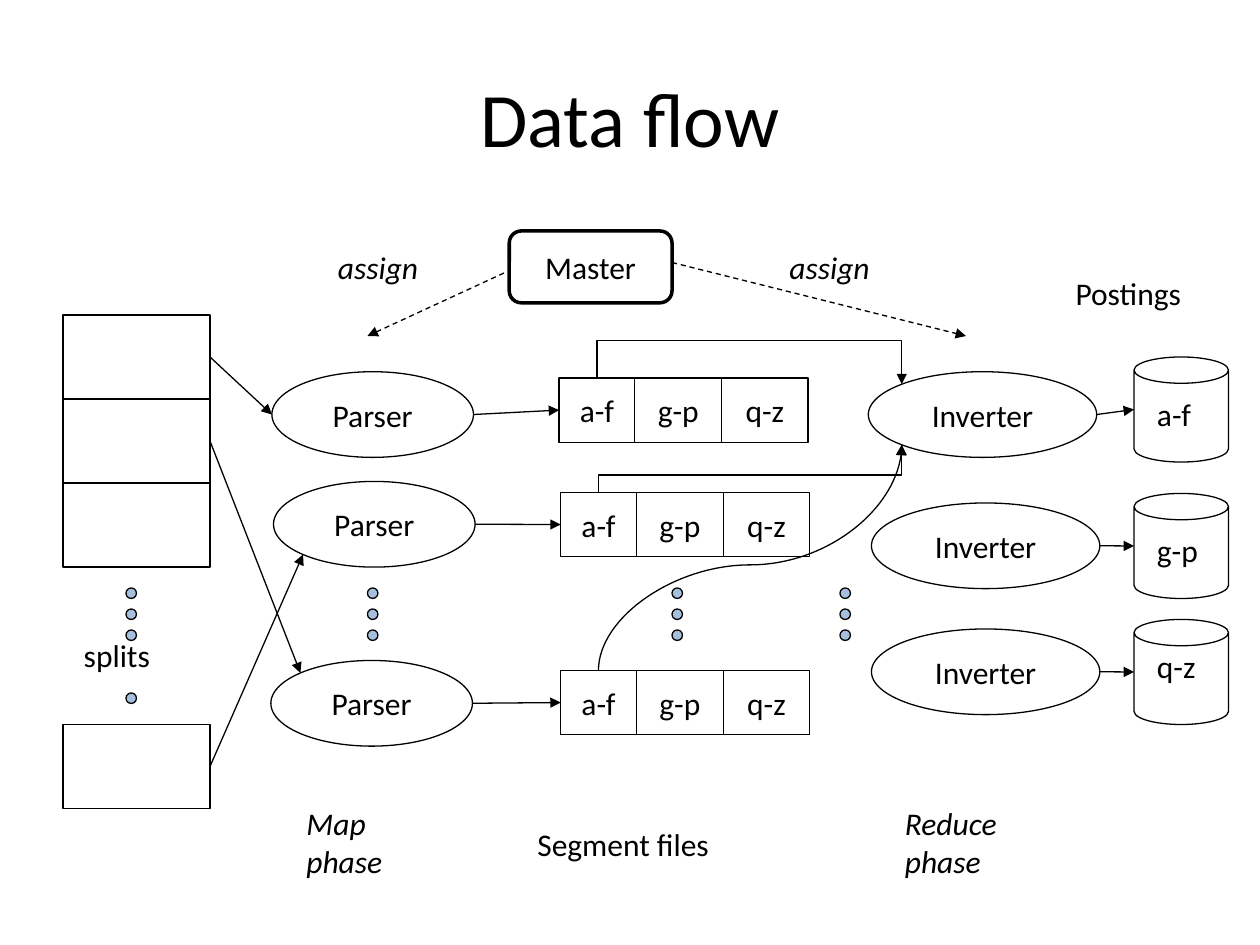
from dataclasses import dataclass
from math import cos, radians, sin

from lxml import etree
from pptx import Presentation
from pptx.dml.color import RGBColor
from pptx.enum.dml import MSO_LINE
from pptx.enum.shapes import MSO_CONNECTOR, MSO_SHAPE
from pptx.enum.text import MSO_ANCHOR, PP_ALIGN
from pptx.oxml.ns import qn
from pptx.util import Inches, Pt

RECT, ROUNDED = MSO_SHAPE.RECTANGLE, MSO_SHAPE.ROUNDED_RECTANGLE
OVAL, CAN = MSO_SHAPE.OVAL, MSO_SHAPE.CAN
STRAIGHT, ELBOW, CURVE = MSO_CONNECTOR.STRAIGHT, MSO_CONNECTOR.ELBOW, MSO_CONNECTOR.CURVE
DASH = MSO_LINE.DASH
LEFT, CENTER = PP_ALIGN.LEFT, PP_ALIGN.CENTER
TOP, MIDDLE = MSO_ANCHOR.TOP, MSO_ANCHOR.MIDDLE
RIGHT_SIDE, LEFT_SIDE = 3, 1
COLUMNS, ROWS = 120, 90
UNIT = Inches(10) / COLUMNS


@dataclass(frozen=True)
class Theme:
    font: str = "Calibri"
    ink: RGBColor = RGBColor(0x00, 0x00, 0x00)
    dot: RGBColor = RGBColor(0x4F, 0x81, 0xBD)
    dot_alpha: int = 50000
    title: int = 44
    body: int = 18
    thin: float = 0.75
    thick: float = 2


THEME = Theme()


def grid(*cells):
    return [round(c * UNIT) for c in cells]


def write(tf, text, size=THEME.body, italic=False, align=LEFT, anchor=TOP, wrap=True):
    tf.word_wrap = wrap
    tf.vertical_anchor = anchor
    for i, line in enumerate(text.split("\n")):
        p = tf.add_paragraph() if i else tf.paragraphs[0]
        p.alignment = align
        r = p.add_run()
        r.text = line
        r.font.name = THEME.font
        r.font.size = Pt(size)
        r.font.italic = italic
        r.font.color.rgb = THEME.ink


def label(s, box, text, **fmt):
    write(s.shapes.add_textbox(*grid(*box)).text_frame, text, **fmt)


def node(s, kind, box, text="", weight=THEME.thin, adj=None):
    sp = s.shapes.add_shape(kind, *grid(*box))
    sp.shadow.inherit = False
    sp.fill.background()
    sp.line.color.rgb = THEME.ink
    sp.line.width = Pt(weight)
    if adj is not None:
        sp.adjustments[0] = adj
    if text:
        write(sp.text_frame, text, align=CENTER, anchor=MIDDLE, wrap=False)
    return sp


def dot(s, col, row):
    sp = node(s, OVAL, (col, row, 1, 1))
    sp.fill.solid()
    sp.fill.fore_color.rgb = THEME.dot
    color = sp._element.spPr.find(qn("a:solidFill"))[0]
    etree.SubElement(color, qn("a:alpha"), val=str(THEME.dot_alpha))


def rim(sp, degrees):
    a = radians(degrees)
    x = sp.left + sp.width / 2 * (1 + cos(a))
    y = sp.top + sp.height / 2 * (1 + sin(a))
    return x / UNIT, y / UNIT


def arrow(s, start, end, kind=STRAIGHT, dash=None):
    cx = s.shapes.add_connector(kind, *grid(*start, *end))
    cx.line.color.rgb = THEME.ink
    cx.line.width = Pt(THEME.thin)
    if dash:
        cx.line.dash_style = dash
    etree.SubElement(cx.line._get_or_add_ln(), qn("a:tailEnd"), type="triangle")
    etree.SubElement(cx._element.spPr, qn("a:effectLst"))
    return cx


def routed_arrow(s, start, end, turn, kind):
    (x1, y1), (x2, y2) = start, end
    mx, my = (x1 + x2) / 2, (y1 + y2) / 2
    half_w, half_h = abs(y2 - y1) / 2, abs(x2 - x1) / 2
    down = y2 > y1
    rise = half_h if down else -half_h
    cx = arrow(s, (mx - half_w, my + rise), (mx + half_w, my - rise), kind)
    cx.rotation = 90 if down else 270
    share = round((turn - y1) / (y2 - y1) * 100000)
    guides = cx._element.spPr.find(qn("a:prstGeom")).find(qn("a:avLst"))
    etree.SubElement(guides, qn("a:gd"), name="adj1", fmla=f"val {share}")


def segment_file(s, col, row):
    cells = []
    for text, width in (("a-f", 7.2), ("g-p", 8.3), ("q-z", 8.2)):
        cells.append(node(s, RECT, (col, row, width, 6.12), text))
        col += width
    return cells[0]


def map_phase(s):
    splits = [node(s, RECT, (6, row, 14, 8)) for row in (30, 38, 46, 69)]
    parsers = [node(s, OVAL, (col, row, 19.2, 8.16), "Parser")
               for col, row in ((25.9, 35.4), (26.05, 45.85), (25.8, 62.9))]
    for split, parser, angle in ((0, 0, 180), (1, 2, 225), (3, 1, 135)):
        cx = arrow(s, (20, 34), rim(parsers[parser], angle))
        cx.begin_connect(splits[split], RIGHT_SIDE)
    firsts = [segment_file(s, col, row)
              for col, row in ((53.25, 36), (53.4, 46.9), (53.4, 63.85))]
    for parser, first in zip(parsers, firsts):
        start = rim(parser, 0)
        arrow(s, start, start).end_connect(first, LEFT_SIDE)
    return firsts


def reduce_phase(s):
    inverters = [node(s, OVAL, (col, row, 21.75, 8.16), "Inverter")
                 for col, row in ((82.7, 35.4), (83, 47.9), (83, 59.9))]
    postings = (("a-f", 34, 37), ("g-p", 47, 50), ("q-z", 59, 61))
    for inverter, (text, row, text_row) in zip(inverters, postings):
        can = node(s, CAN, (108, row, 9, 10), adj=0.278)
        arrow(s, rim(inverter, 0), rim(can, 180))
        label(s, (109, text_row, 8, 6), text)
    return inverters[0]


def main():
    prs = Presentation()
    prs.slide_width, prs.slide_height = grid(COLUMNS, ROWS)
    s = prs.slides.add_slide(prs.slide_layouts[5])
    title = s.shapes.title
    title.left, title.top, title.width, title.height = grid(6, 3.6, 108, 15)
    write(title.text_frame, "Data flow", size=THEME.title, align=CENTER, anchor=MIDDLE)

    firsts = map_phase(s)
    inverter = reduce_phase(s)
    routes = ((225, 32.4, ELBOW), (135, 45.25, ELBOW), (135, 53.8, CURVE))
    for first, (angle, turn, kind) in zip(firsts, routes):
        routed_arrow(s, rim(first, 270), rim(inverter, angle), turn, kind)

    node(s, ROUNDED, (48.5, 22, 15.5, 6.84), "Master", weight=THEME.thick, adj=0.167)
    arrow(s, (48, 26), (35, 32), dash=DASH)
    arrow(s, (64, 25), (92, 32), dash=DASH)

    for col in (12, 35, 64, 80):
        for row in (56, 58, 60):
            dot(s, col, row)
    dot(s, 12, 66)

    label(s, (6.8, 60, 11.5, 6), "splits")
    label(s, (101.25, 25.5, 17.75, 6), "Postings")
    label(s, (50, 78, 28.8, 6), "Segment files")
    for col in (31, 74):
        label(s, (col, 23, 14, 6), "assign", italic=True)
    label(s, (28, 76, 16, 11), "Map\nphase", italic=True)
    label(s, (85, 76, 17, 11), "Reduce\nphase", italic=True)
    prs.save("out.pptx")


if __name__ == "__main__":
    main()
